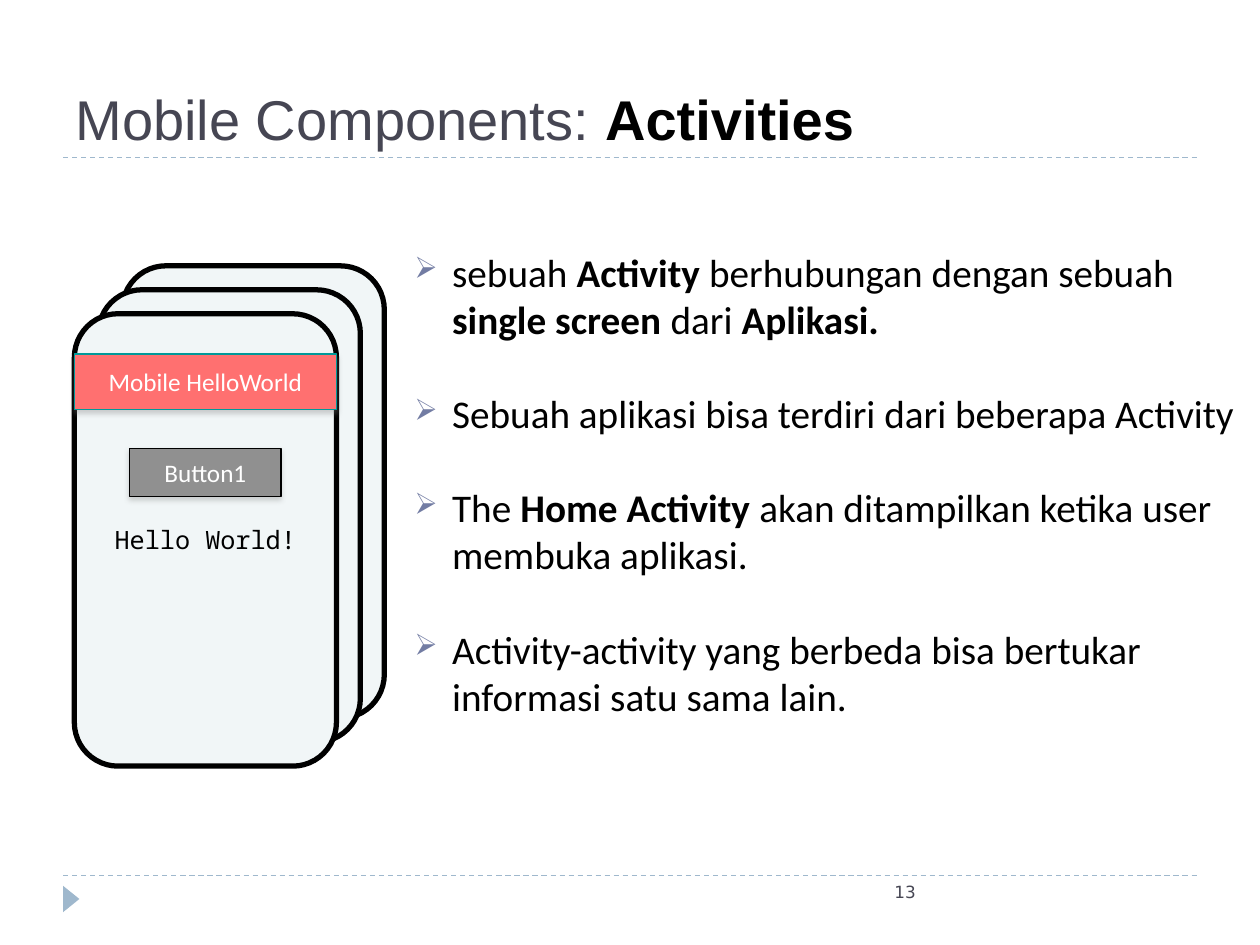
from lxml import etree
from pptx import Presentation
from pptx.dml.color import RGBColor
from pptx.enum.dml import MSO_LINE
from pptx.enum.shapes import MSO_CONNECTOR, MSO_SHAPE
from pptx.enum.text import MSO_ANCHOR, PP_ALIGN
from pptx.oxml.ns import qn
from pptx.util import Inches, Pt

RECTANGLE = MSO_SHAPE.RECTANGLE
ROUNDED = MSO_SHAPE.ROUNDED_RECTANGLE
TRIANGLE = MSO_SHAPE.ISOSCELES_TRIANGLE
STRAIGHT = MSO_CONNECTOR.STRAIGHT
DASH = MSO_LINE.DASH
TOP, MIDDLE, BOTTOM = MSO_ANCHOR.TOP, MSO_ANCHOR.MIDDLE, MSO_ANCHOR.BOTTOM
CENTER = PP_ALIGN.CENTER

COLORS = {
    "black": "000000", "white": "FFFFFF", "title": "464653",
    "rule": "9FB8CD", "bullet": "727CA3", "phone": "F1F6F7",
    "bar": "FF7070", "bar_line": "009999", "button": "909090",
    "shadow": "808080",
}

TITLE = [("Mobile Components: ", "title", False), ("Activities", "black", True)]
BULLETS = [
    [("sebuah ", False), ("Activity ", True), ("berhubungan dengan sebuah ", False),
     ("single screen ", True), ("dari ", False), ("Aplikasi.", True)],
    [("Sebuah aplikasi bisa terdiri dari beberapa Activity", False)],
    [("The ", False), ("Home Activity ", True),
     ("akan ditampilkan ketika user membuka aplikasi.", False)],
    [("Activity-activity yang berbeda bisa bertukar informasi satu sama lain.", False)],
]
PAGE_NUMBER = "13"
RULE_HEIGHTS = [1.25, 6.95]
PHONE_LEFT, PHONE_TOP, PHONE_WIDTH, PHONE_HEIGHT = 0.59, 2.49, 2.08, 3.59
PHONE_STEP, PHONE_COUNT = 0.19, 3
WIDGETS = [
    ("Mobile HelloWorld", 2.81, 2.08, 0.44, "bar", "bar_line"),
    ("Button1", 3.56, 1.2, 0.38, "button", "black"),
]


def color(name):
    return RGBColor.from_string(COLORS[name])


def style(font, name, size, color_name):
    font.name = name
    font.size = Pt(size)
    font.color.rgb = color(color_name)


def add_rule(slide, height):
    rule = slide.shapes.add_connector(
        STRAIGHT, Inches(0.5), Inches(height), Inches(9.5), Inches(height))
    rule.line.color.rgb = color("rule")
    rule.line.width = Pt(0.75)
    rule.line.dash_style = DASH
    etree.SubElement(rule._element.spPr, qn("a:effectLst"))


def add_shape(slide, kind, box, fill, line=None, line_width=0.75):
    shape = slide.shapes.add_shape(kind, *map(Inches, box))
    shape.shadow.inherit = False
    shape.fill.solid()
    shape.fill.fore_color.rgb = color(fill)
    if line:
        shape.line.color.rgb = color(line)
        shape.line.width = Pt(line_width)
    else:
        shape.line.fill.background()
    return shape


def label(shape, text, font_name, color_name):
    shape.text_frame.vertical_anchor = MIDDLE
    paragraph = shape.text_frame.paragraphs[0]
    paragraph.text = text
    paragraph.alignment = CENTER
    style(paragraph.font, font_name, 14.4, color_name)


def add_shadow(shape):
    effects = shape._element.spPr.find(qn("a:effectLst"))
    shadow = etree.SubElement(
        effects, qn("a:outerShdw"), blurRad=str(Pt(3.1)), dist=str(Pt(1.8)),
        dir="5400000", rotWithShape="0")
    tint = etree.SubElement(shadow, qn("a:srgbClr"), val=COLORS["shadow"])
    etree.SubElement(tint, qn("a:alpha"), val="35000")


def add_text_frame(slide, box, anchor=TOP):
    frame = slide.shapes.add_textbox(*map(Inches, box)).text_frame
    frame.word_wrap = True
    frame.vertical_anchor = anchor
    return frame


def add_bullet(paragraph):
    properties = paragraph._p.get_or_add_pPr()
    properties.set("marL", str(Inches(0.3)))
    properties.set("indent", str(Inches(-0.3)))
    tint = etree.SubElement(properties, qn("a:buClr"))
    etree.SubElement(tint, qn("a:srgbClr"), val=COLORS["bullet"])
    etree.SubElement(properties, qn("a:buSzPct"), val="76000")
    etree.SubElement(properties, qn("a:buChar"), char="➢")


def add_phones(slide):
    for index in reversed(range(PHONE_COUNT)):
        offset = index * PHONE_STEP
        box = (PHONE_LEFT + offset, PHONE_TOP - offset, PHONE_WIDTH, PHONE_HEIGHT)
        phone = add_shape(slide, ROUNDED, box, "phone", "black", 3)
    label(phone, "Hello World!", "Noto Sans Mono", "black")
    for text, top, width, height, fill, line in WIDGETS:
        left = PHONE_LEFT + (PHONE_WIDTH - width) / 2
        widget = add_shape(slide, RECTANGLE, (left, top, width, height), fill, line)
        add_shadow(widget)
        label(widget, text, "Calibri", "white")


def add_title(slide):
    paragraph = add_text_frame(slide, (0.5, 0.17, 9, 1.08), BOTTOM).paragraphs[0]
    for text, color_name, bold in TITLE:
        run = paragraph.add_run()
        run.text = text
        run.font.bold = bold
        style(run.font, "Arial", 32, color_name)


def add_body(slide):
    frame = add_text_frame(slide, (3.19, 1.92, 6.83, 4.47))
    for index, runs in enumerate(BULLETS):
        paragraph = frame.add_paragraph() if index else frame.paragraphs[0]
        if index:
            paragraph.space_before = Pt(27)
        add_bullet(paragraph)
        style(paragraph.font, "Calibri", 22.4, "black")
        for text, bold in runs:
            run = paragraph.add_run()
            run.text = text
            run.font.bold = bold


def add_footer(slide):
    marker = add_shape(slide, TRIANGLE, (0.46, 7.07, 0.21, 0.13), "rule")
    marker.rotation = 90
    paragraph = add_text_frame(slide, (7, 6.95, 2.5, 0.4)).paragraphs[0]
    paragraph.text = PAGE_NUMBER
    style(paragraph.font, "DejaVu Sans", 9.6, "title")


def main():
    presentation = Presentation()
    presentation.slide_width = Inches(10)
    presentation.slide_height = Inches(7.5)
    slide = presentation.slides.add_slide(presentation.slide_layouts[6])
    for height in RULE_HEIGHTS:
        add_rule(slide, height)
    add_footer(slide)
    add_title(slide)
    add_body(slide)
    add_phones(slide)
    presentation.save("out.pptx")


if __name__ == "__main__":
    main()
